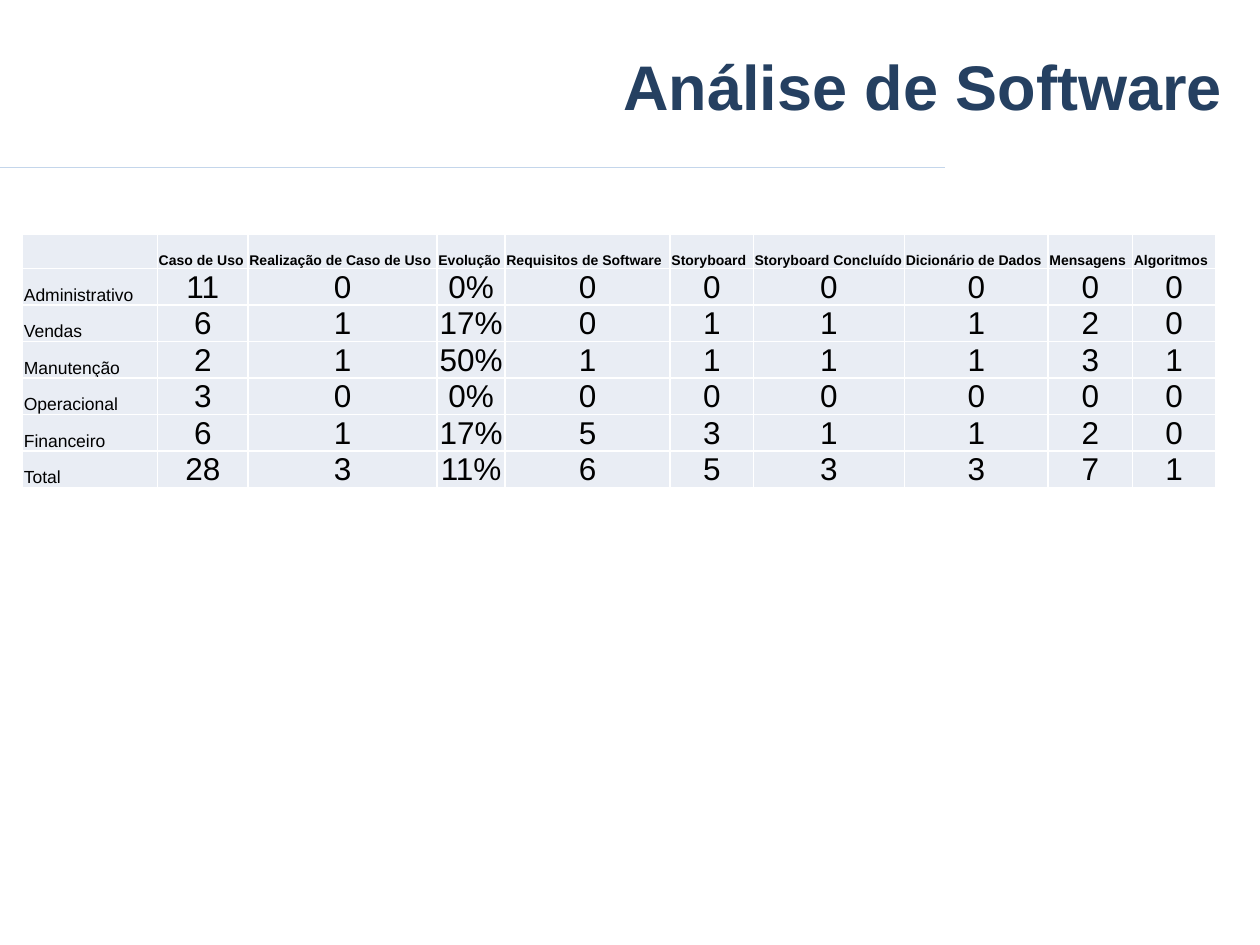
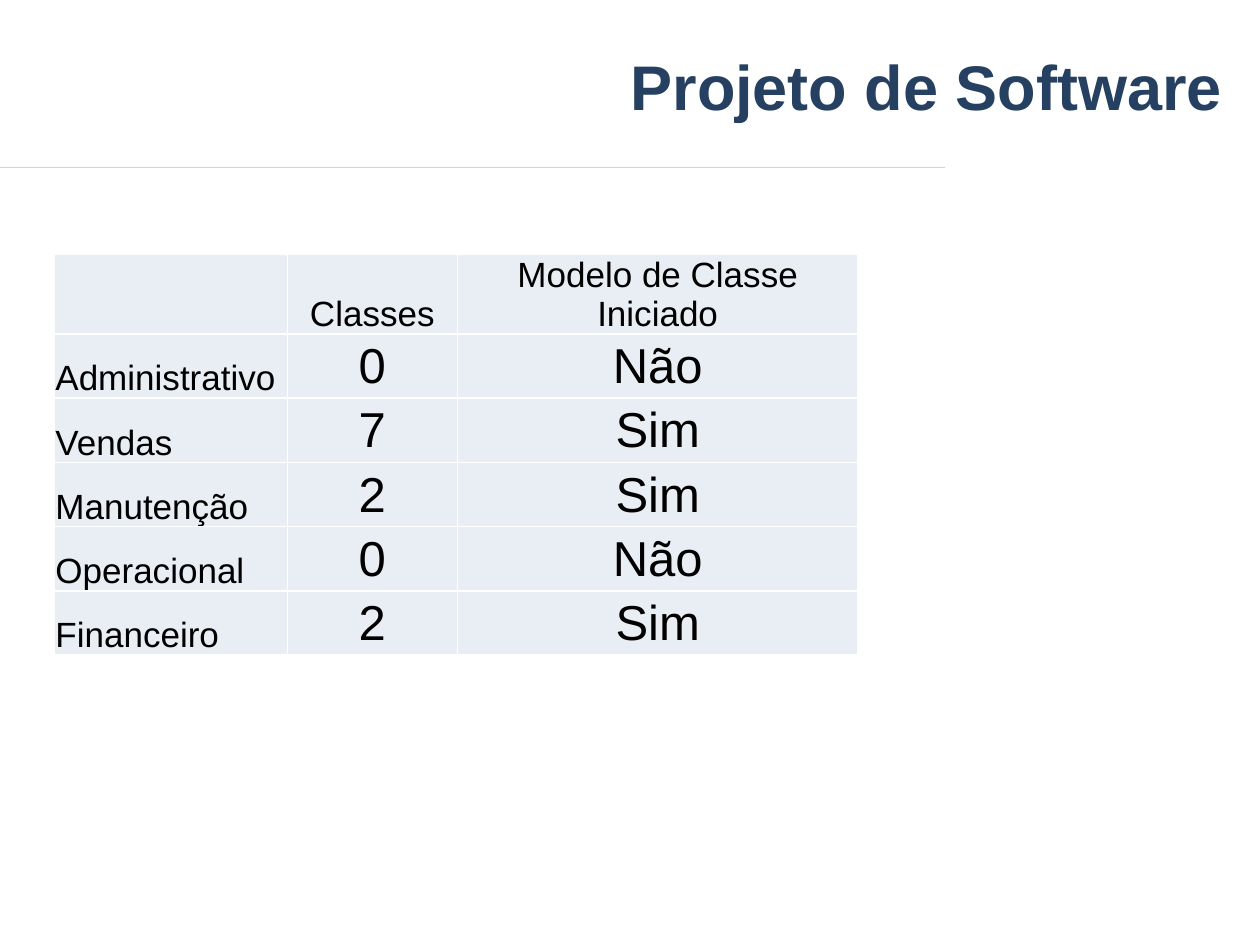
from lxml.etree import SubElement
from pptx import Presentation
from pptx.dml.color import RGBColor
from pptx.enum.shapes import MSO_CONNECTOR
from pptx.enum.text import MSO_ANCHOR as Anchor, PP_ALIGN as Align
from pptx.oxml.ns import qn
from pptx.util import Inches, Pt

# Shared look
FONT = "Arial"
NAVY = RGBColor(0x25, 0x40, 0x61)
RULE_BLUE = RGBColor(0xC4, 0xD6, 0xEB)
CELL_GREY = RGBColor(0xE9, 0xED, 0xF4)
WHITE = RGBColor(0xFF, 0xFF, 0xFF)
BLACK = RGBColor(0, 0, 0)
TITLE_FONT = {"name": FONT, "size": Pt(36), "bold": True}
TITLE_BOX = {"left": Inches(0.18), "top": Inches(0.28),
             "width": Inches(9.62), "height": Inches(1.01)}
CELL_FORMAT = {"margin_left": Inches(0.01), "margin_right": Inches(0.01),
               "margin_top": Inches(0.01), "margin_bottom": 0}

# Content of the two slides
REPORTS = [
    {
        "title": "Análise de Software",
        "corner": (0.18, 1.86),
        "columns": [1.07, 0.72, 1.5, 0.54, 1.31, 0.66, 1.2, 1.14, 0.67, 0.66],
        "row_height": 0.27,
        "header": {"size": 8, "bold": True, "align": Align.LEFT},
        "area_size": 10,
        "value_size": 18,
        "rows": [
            ["", "Caso de Uso", "Realização de Caso de Uso", "Evolução",
             "Requisitos de Software", "Storyboard", "Storyboard Concluído",
             "Dicionário de Dados", "Mensagens", "Algoritmos"],
            ["Administrativo", 11, 0, "0%", 0, 0, 0, 0, 0, 0],
            ["Vendas", 6, 1, "17%", 0, 1, 1, 1, 2, 0],
            ["Manutenção", 2, 1, "50%", 1, 1, 1, 1, 3, 1],
            ["Operacional", 3, 0, "0%", 0, 0, 0, 0, 0, 0],
            ["Financeiro", 6, 1, "17%", 5, 3, 1, 1, 2, 0],
            ["Total", 28, 3, "11%", 6, 5, 3, 3, 7, 1],
        ],
    },
    {
        "title": "Projeto de Software",
        "corner": (0.43, 2.02),
        "columns": [1.85, 1.35, 3.18],
        "row_height": 0.51,
        "header": {"size": 20, "bold": False, "align": Align.CENTER},
        "area_size": 20,
        "value_size": 28,
        "rows": [
            ["", "Classes", "Modelo de Classe Iniciado"],
            ["Administrativo", 0, "Não"],
            ["Vendas", 7, "Sim"],
            ["Manutenção", 2, "Sim"],
            ["Operacional", 0, "Não"],
            ["Financeiro", 2, "Sim"],
        ],
    },
]


def apply(target, values):
    for name, value in values.items():
        setattr(target, name, value)


def fill_cell(cell, text, size, bold, align, anchor):
    apply(cell, CELL_FORMAT)
    cell.vertical_anchor = anchor
    # White borders go before the fill
    for side in ("a:lnL", "a:lnR", "a:lnT", "a:lnB"):
        border = SubElement(cell._tc.get_or_add_tcPr(), qn(side), w=str(Pt(1)))
        SubElement(SubElement(border, qn("a:solidFill")), qn("a:srgbClr"), val=str(WHITE))
    cell.fill.solid()
    cell.fill.fore_color.rgb = CELL_GREY
    line = cell.text_frame.paragraphs[0]
    line.alignment = align
    if text == "":
        # Keeps the empty corner as low as its row
        SubElement(line._p, qn("a:endParaRPr"), sz=str(size * 100))
        return
    run = line.add_run()
    run.text = str(text)
    apply(run.font, {"name": FONT, "size": Pt(size), "bold": bold})
    run.font.color.rgb = BLACK


deck = Presentation()
deck.slide_width, deck.slide_height = Inches(10), Inches(7.5)
title_only = deck.slide_layouts[5]

for report in REPORTS:
    slide = deck.slides.add_slide(title_only)

    # Rule under the title, three quarters of the slide wide
    rule = slide.shapes.add_connector(
        MSO_CONNECTOR.STRAIGHT, 0, Inches(1.33), int(deck.slide_width * 0.75), Inches(1.33))
    rule.line.color.rgb = RULE_BLUE
    rule.line.width = Pt(0.75)
    SubElement(rule._element.spPr, qn("a:effectLst"))

    # Title
    heading = slide.shapes.title
    apply(heading, TITLE_BOX)
    apply(heading.text_frame, {"text": report["title"], "word_wrap": True,
                               "vertical_anchor": Anchor.TOP, "margin_top": Inches(0.1)})
    title_line = heading.text_frame.paragraphs[0]
    title_line.alignment = Align.RIGHT
    apply(title_line.runs[0].font, TITLE_FONT)
    title_line.runs[0].font.color.rgb = NAVY

    # Progress table
    rows, columns = report["rows"], report["columns"]
    left, top = report["corner"]
    progress = slide.shapes.add_table(
        len(rows), len(columns), Inches(left), Inches(top),
        Inches(sum(columns)), Inches(report["row_height"] * len(rows))).table
    apply(progress, {"first_row": False, "horz_banding": False})
    for column, width in zip(progress.columns, columns):
        column.width = Inches(width)
    for r, row in enumerate(rows):
        progress.rows[r].height = Inches(report["row_height"])
        for c, text in enumerate(row):
            if r == 0:
                style = {**report["header"], "anchor": Anchor.BOTTOM}
            elif c == 0:
                style = {"size": report["area_size"], "bold": False,
                         "align": Align.LEFT, "anchor": Anchor.BOTTOM}
            else:
                style = {"size": report["value_size"], "bold": False,
                         "align": Align.CENTER, "anchor": Anchor.MIDDLE}
            fill_cell(progress.cell(r, c), text, **style)

deck.save("out.pptx")
